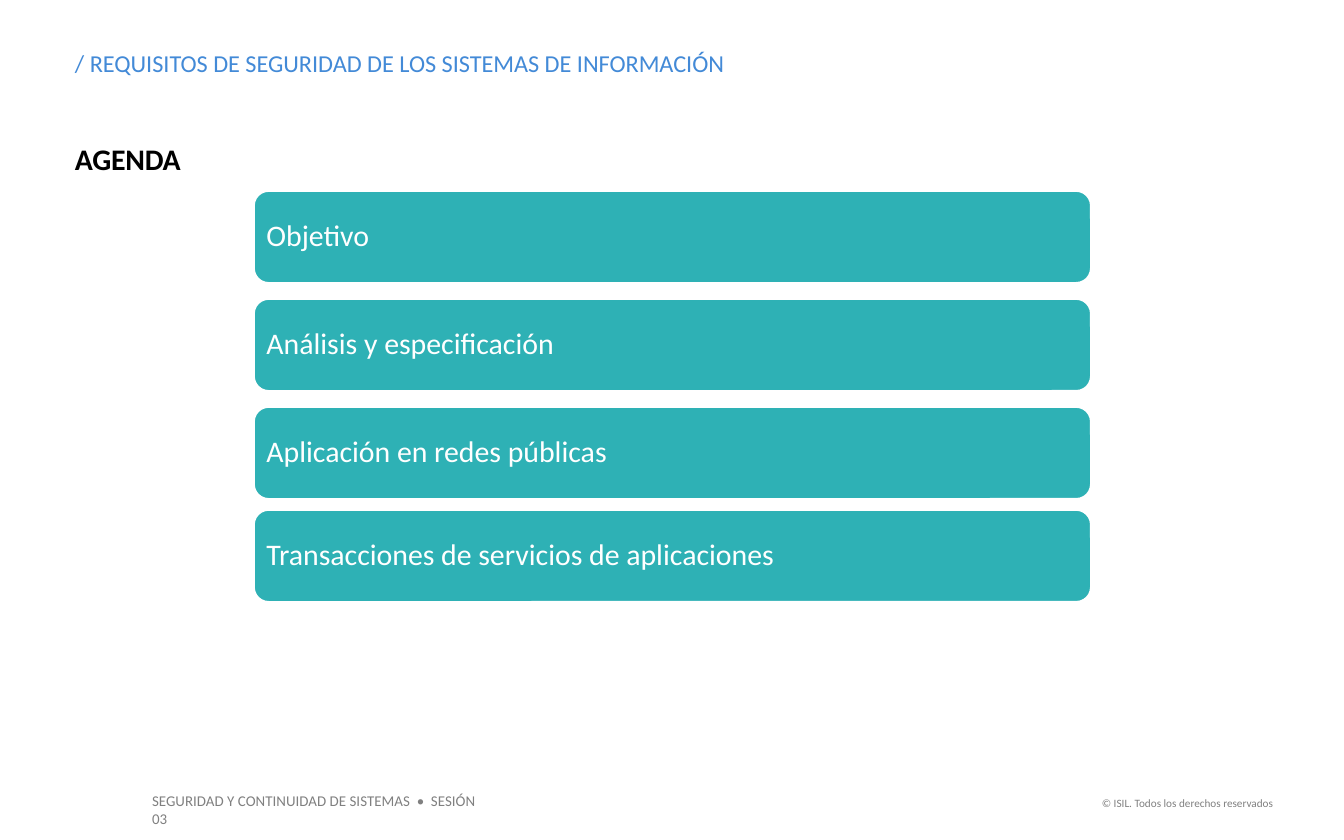
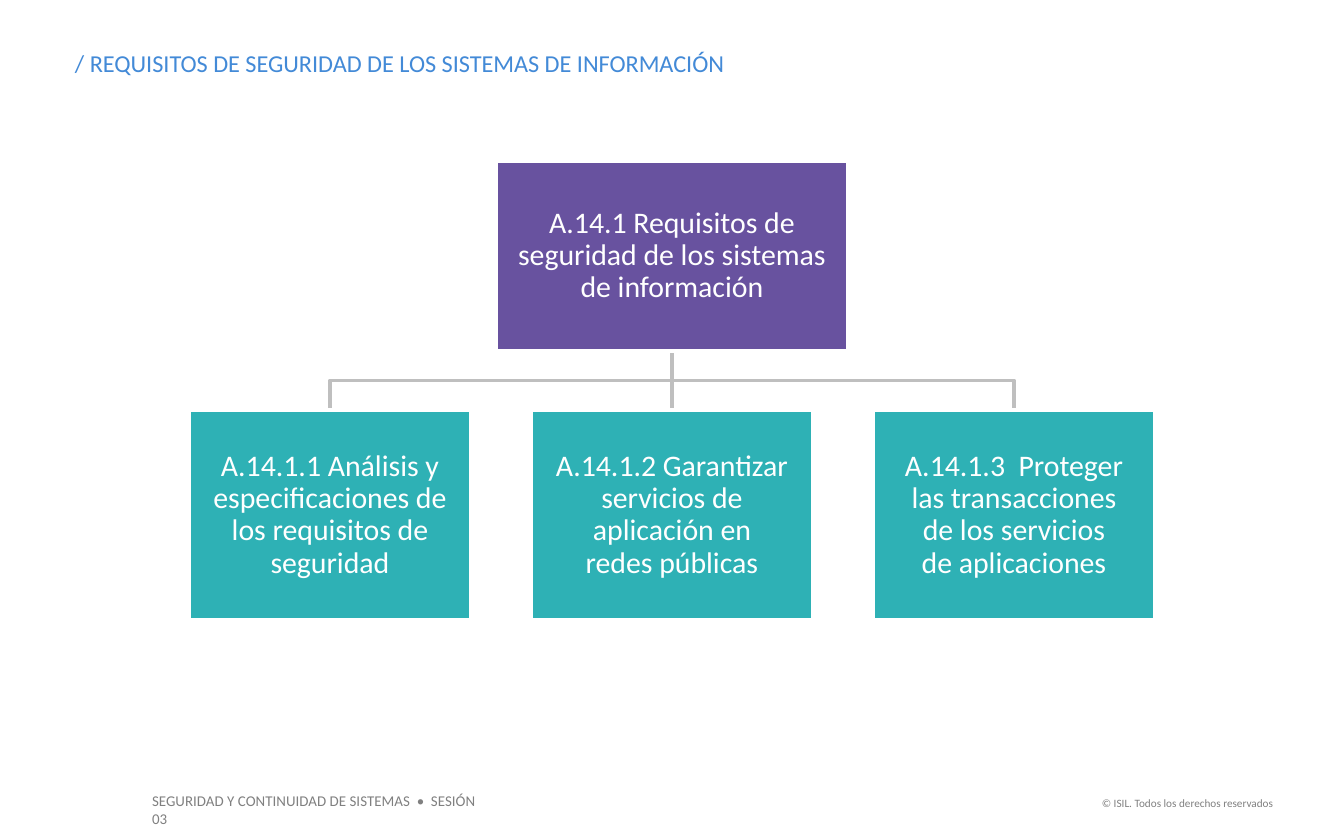
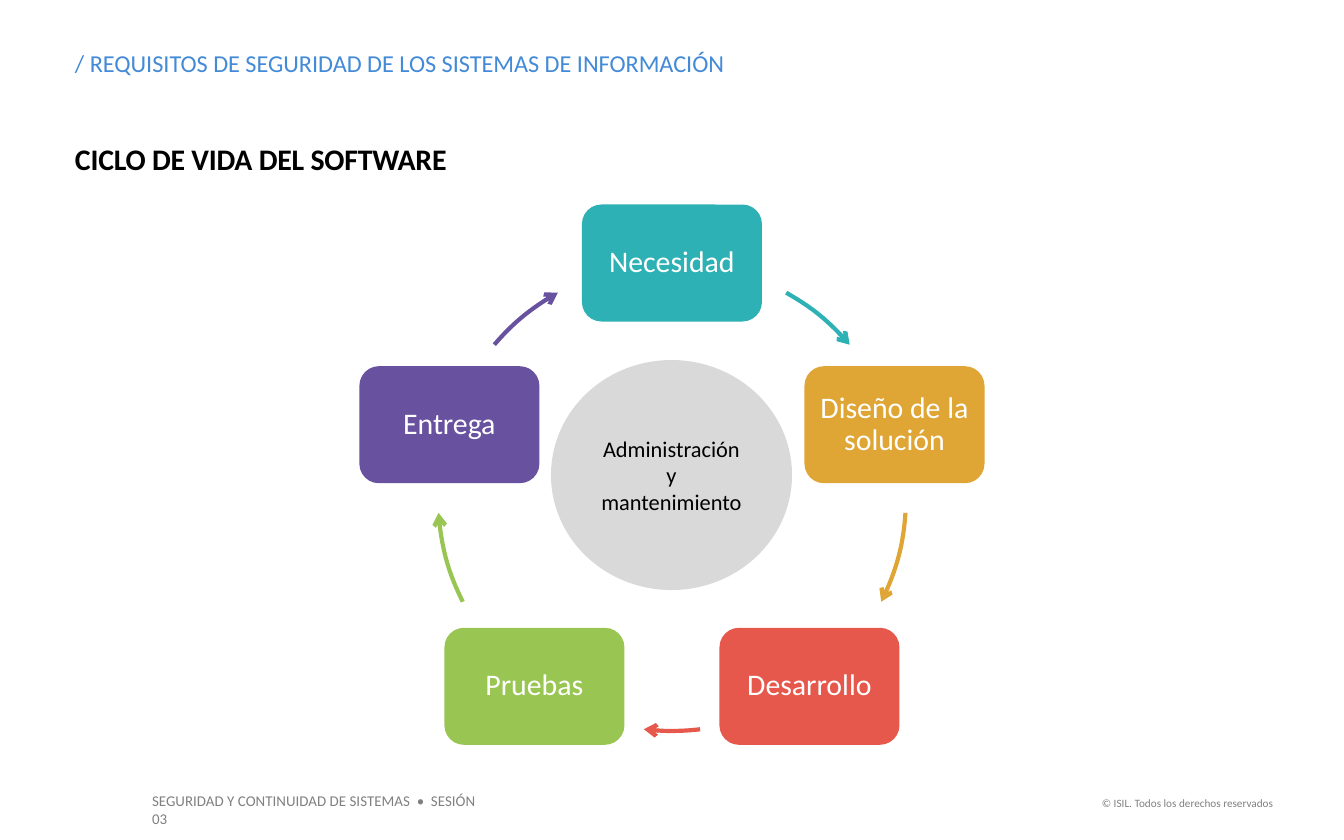
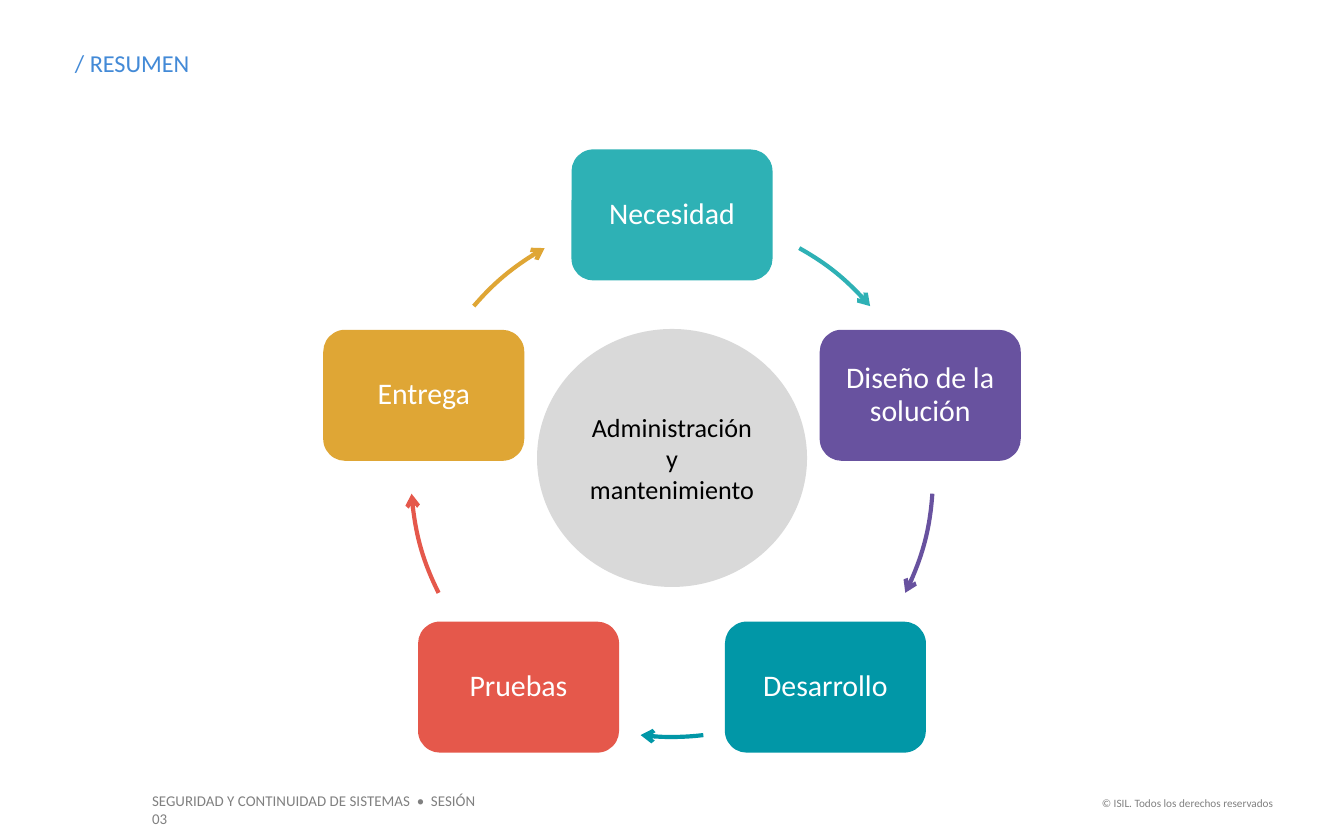
from math import cos, radians, sin

from lxml.etree import SubElement
from pptx import Presentation
from pptx.dml.color import RGBColor
from pptx.enum.shapes import MSO_CONNECTOR, MSO_SHAPE
from pptx.enum.text import MSO_ANCHOR, PP_ALIGN
from pptx.oxml.ns import qn
from pptx.util import Emu, Pt

EMU_PER_PX = 914400 / 134.4
SLIDE_WIDTH, SLIDE_HEIGHT = 1344, 840
CENTER_X = SLIDE_WIDTH // 2
FONT = "Calibri"
COLORS = {
    "white": "FFFFFF", "black": "000000", "title": "438AD7", "footer": "808080",
    "teal": "2EB1B5", "purple": "68529F", "gold": "DFA635", "red": "E5584B",
    "green": "99C652", "cyan": "0197A7", "hub": "D9D9D9", "branch": "BFBFBF",
}
REQUIREMENTS = "/ REQUISITOS DE SEGURIDAD DE LOS SISTEMAS DE INFORMACIÓN"
STAGES = ["Necesidad", "Diseño de la solución", "Desarrollo", "Pruebas", "Entrega"]
ARROW_SPANS = [(-60.8, -40.6), (3.9, 26.6), (83.1, 96.9), (153.4, 176.1),
               (220.6, 240.8)]


def px(length):
    """Turn pixels into EMU."""
    return Emu(round(length * EMU_PER_PX))


def color(name):
    """Look up a colour by name."""
    return RGBColor.from_string(COLORS[name])


def apply(target, values):
    """Set every attribute in the dict of format values."""
    for name, value in values.items():
        setattr(target, name, value)


def write(frame, text, size, ink, bold=False, align=PP_ALIGN.LEFT,
          anchor=MSO_ANCHOR.TOP, inset=(0, 0), spacing=1.0):
    """Fill a text frame with one formatted paragraph."""
    side, end = map(px, inset)
    apply(frame, {"word_wrap": True, "vertical_anchor": anchor,
                  "margin_left": side, "margin_right": side,
                  "margin_top": end, "margin_bottom": end})
    paragraph = frame.paragraphs[0]
    paragraph.text = text
    apply(paragraph, {"alignment": align, "line_spacing": spacing})
    for run in paragraph.runs:
        apply(run.font, {"name": FONT, "size": Pt(size), "bold": bold})
        run.font.color.rgb = color(ink)
    return paragraph


def add_label(slide, box, text, size, ink, **layout):
    """Add free-standing text."""
    label = slide.shapes.add_textbox(*map(px, box))
    return write(label.text_frame, text, size, ink, **layout)


def add_block(slide, kind, box, fill, text, border=False, size=16, ink="white",
              align=PP_ALIGN.CENTER, inset=(5, 9), spacing=0.9):
    """Add a filled shape holding its own text."""
    block = slide.shapes.add_shape(kind, *map(px, box))
    block.shadow.inherit = False
    block.fill.solid()
    block.fill.fore_color.rgb = color(fill)
    if border:
        draw_line(block, "white", 2)
    else:
        block.line.fill.background()
    write(block.text_frame, text, size, ink, align=align,
          anchor=MSO_ANCHOR.MIDDLE, inset=inset, spacing=spacing)
    return block


def draw_line(stroke, ink, width):
    """Give an outline its colour and width."""
    stroke.line.color.rgb = color(ink)
    stroke.line.width = Pt(width)


def add_path(slide, points, ink, width):
    """Draw an open line through the points."""
    corners = [(px(x), px(y)) for x, y in points]
    builder = slide.shapes.build_freeform(*corners[0])
    builder.add_line_segments(corners[1:], close=False)
    path = builder.convert_to_shape()
    path.shadow.inherit = False
    path.fill.background()
    draw_line(path, ink, width)
    return path


def add_ring_arrow(slide, center_y, radius, span, ink):
    """Draw a curved arrow along part of a ring, framed by the whole ring."""
    arrow = add_path(slide, [(CENTER_X - radius, center_y - radius),
                             (CENTER_X + radius, center_y + radius)], ink, 2.25)
    curve = arrow.element.find(".//" + qn("a:path"))
    for segment in list(curve):
        curve.remove(segment)
    start, end = span
    SubElement(SubElement(curve, qn("a:moveTo")), qn("a:pt"),
               x=str(px(radius * (1 + cos(radians(start))))),
               y=str(px(radius * (1 + sin(radians(start))))))
    SubElement(curve, qn("a:arcTo"), wR=str(px(radius)), hR=str(px(radius)),
               stAng=str(round(start % 360 * 60000)),
               swAng=str(round((end - start) * 60000)))
    SubElement(arrow.line._get_or_add_ln(), qn("a:tailEnd"), type="arrow")


def send_to_back(part):
    """Move a part behind everything else on its slide."""
    part.element.getparent().insert(2, part.element)


def new_slide(deck, title, heading=None):
    """Add a slide with its footers, title and optional heading."""
    slide = deck.slides.add_slide(deck.slide_layouts[6])
    add_label(slide, (139, 785, 368, 32),
              "SEGURIDAD Y CONTINUIDAD DE SISTEMAS  •  SESIÓN 03",
              8, "footer", inset=(13, 7))
    add_label(slide, (1075, 790, 211, 27), "© ISIL. Todos los derechos reservados",
              6, "footer", align=PP_ALIGN.RIGHT, inset=(13, 7))
    add_label(slide, (75, 48, 887, 30), title, 13, "title")
    if heading:
        line = add_label(slide, (75, 141, 1200, 36), heading, 16, "black", bold=True)
        line.runs[0].font._element.set("spc", "-10")
    return slide


def add_agenda(slide, topics):
    """Stack the agenda topics as wide bars."""
    for top, topic in topics.items():
        add_block(slide, MSO_SHAPE.ROUNDED_RECTANGLE, (253, top, 839, 94), "teal",
                  topic, border=True, align=PP_ALIGN.LEFT, inset=(9, 9))


def add_tree(slide, parent_text, child_texts):
    """Draw a parent control over a row of child controls."""
    parent_top, parent_bottom, parent_width = 161, 351, 351
    child_top, step, child_width = 410, 342, 282
    middle = (parent_bottom + child_top) / 2
    parent = add_block(slide, MSO_SHAPE.RECTANGLE,
                       (CENTER_X - parent_width / 2, parent_top, parent_width,
                        parent_bottom - parent_top),
                       "purple", parent_text, border=True, inset=(1, 1))
    for index, text in enumerate(child_texts):
        child_x = CENTER_X + (index - 1) * step
        child = add_block(slide, MSO_SHAPE.RECTANGLE,
                          (child_x - child_width / 2, child_top, child_width, 210),
                          "teal", text, border=True, inset=(1, 1))
        if child_x == CENTER_X:
            branch = slide.shapes.add_connector(MSO_CONNECTOR.STRAIGHT, 0, 0, 0, 0)
            branch.begin_connect(parent, 2)
            branch.end_connect(child, 0)
            draw_line(branch, "branch", 2)
            SubElement(branch.element.spPr, qn("a:effectLst"))
        else:
            branch = add_path(slide, [(CENTER_X, parent_bottom), (CENTER_X, middle),
                                      (child_x, middle), (child_x, child_top)],
                              "branch", 2)
        send_to_back(branch)


def add_cycle(slide, center_y, radius, stage_size, stage_colors, hub, hub_text_size):
    """Place the life cycle stages on a ring with arrows and a hub."""
    width, height = stage_size
    for index, (stage, fill) in enumerate(zip(STAGES, stage_colors)):
        angle = radians(72 * index - 90)
        x = CENTER_X + radius * cos(angle)
        y = center_y + radius * sin(angle)
        add_block(slide, MSO_SHAPE.ROUNDED_RECTANGLE,
                  (x - width / 2, y - height / 2, width, height), fill, stage)
        add_ring_arrow(slide, center_y, radius, ARROW_SPANS[index], fill)
    add_block(slide, MSO_SHAPE.OVAL, hub, "hub", "Administración y mantenimiento",
              size=hub_text_size, ink="black", inset=(13, 7), spacing=1.0)


def main():
    """Build the four slides and save them."""
    deck = Presentation()
    apply(deck, {"slide_width": px(SLIDE_WIDTH), "slide_height": px(SLIDE_HEIGHT)})

    add_agenda(new_slide(deck, REQUIREMENTS, "AGENDA"), {
        190: "Objetivo",
        298: "Análisis y especificación",
        406: "Aplicación en redes públicas",
        509: "Transacciones de servicios de aplicaciones",
    })
    add_tree(new_slide(deck, REQUIREMENTS),
             "A.14.1 Requisitos de seguridad de los sistemas\nde información", [
                 "A.14.1.1 Análisis y especificaciones de\nlos requisitos de seguridad",
                 "A.14.1.2 Garantizar servicios de\naplicación en\nredes públicas",
                 "A.14.1.3  Proteger\nlas transacciones\nde los servicios\nde aplicaciones",
             ])
    add_cycle(new_slide(deck, REQUIREMENTS, "CICLO DE VIDA DEL SOFTWARE"),
              497, 234, (180, 117), ["teal", "gold", "red", "green", "purple"],
              (551, 360, 241, 230), 12)
    add_cycle(new_slide(deck, "/ RESUMEN"),
              476, 261, (201, 131), ["teal", "purple", "cyan", "red", "gold"],
              (537, 329, 270, 258), 14)
    deck.save("out.pptx")


if __name__ == "__main__":
    main()
